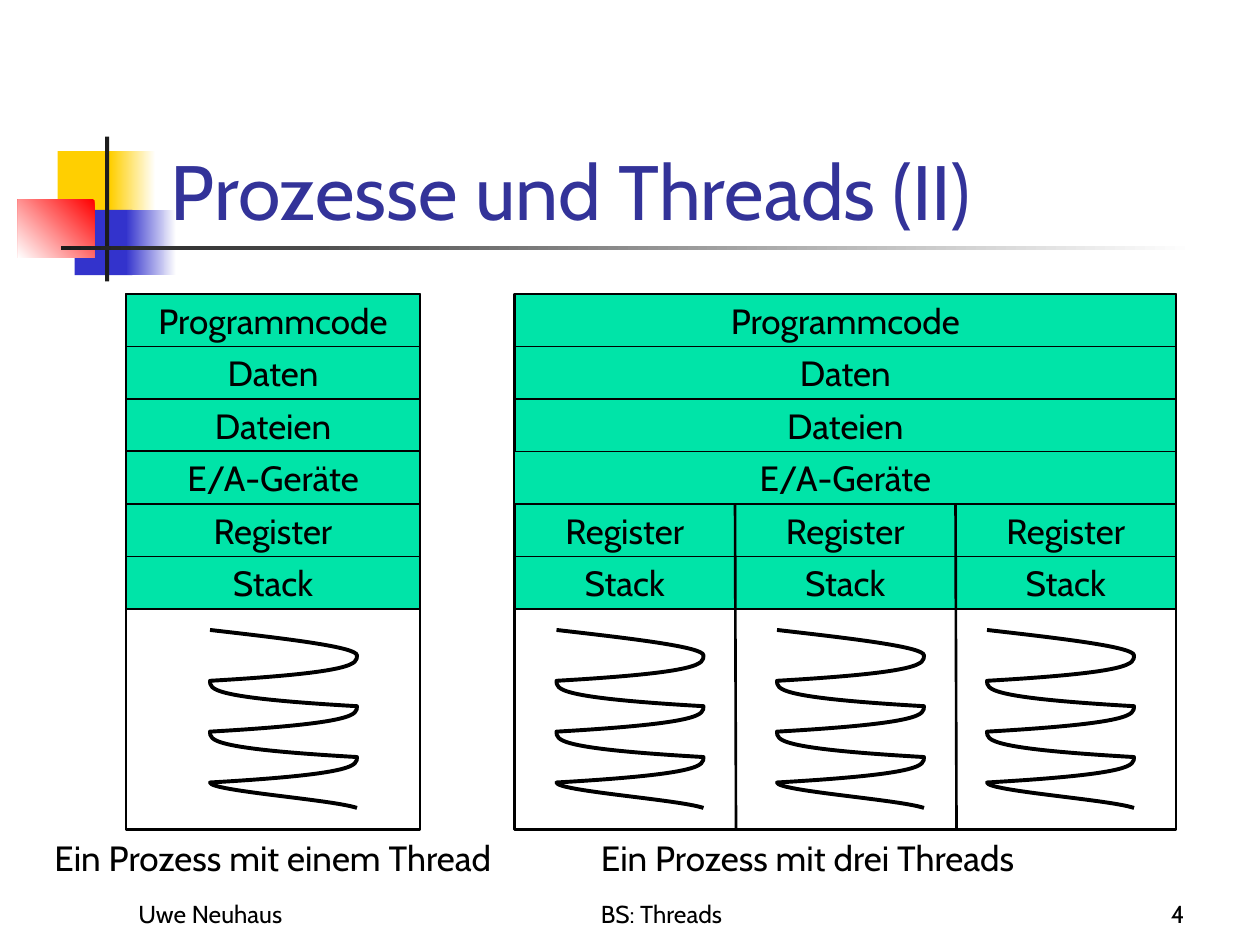
"""Build the slide comparing a process with one thread and one with three threads."""
import pptx
import pptx.dml.color
import pptx.enum.shapes
import pptx.enum.text
import pptx.oxml
import pptx.oxml.ns
import pptx.util

COLORS = {"white": "FFFFFF", "black": "000000", "cell": "00E4A8", "title": "333399",
          "yellow": "FFCF01", "blue": "3333CC", "red": "FF0000", "bar": "1C1C1C"}
FONT = "Cabin"
COLUMNS, ROWS = 120, 90
WIDTH, HEIGHT = pptx.util.Inches(10), pptx.util.Inches(7.5)
ROW_HEIGHT, TOP, FRAME_HEIGHT = 5, 28, 51
THIN, MEDIUM, THICK = 0.75, 1.5, 2.25
XMLNS = 'xmlns:a="http://schemas.openxmlformats.org/drawingml/2006/main"'

ALIGN = pptx.enum.text.PP_ALIGN
ANCHOR = pptx.enum.text.MSO_ANCHOR

ORNAMENTS = [
    ((5.5, 14.4, 5.7, 6.2), ("yellow",), 0),
    ((10.5, 14.4, 4.3, 6.2), ("white", "yellow"), 180),
    ((7.1, 20, 5.5, 6.2), ("blue",), 0),
    ((12, 20, 4.8, 6.2), ("white", "blue"), 180),
    ((1.7, 19, 7.3, 5.55), ("red", "white"), 225),
    ((10, 13, 0.4, 13.8), ("bar",), 0),
    ((5.8, 23.4, 108, 0.4), ("white", "bar"), 180),
]
TEXTS = [
    ("Prozesse und Threads (II)", (15.1, 8.05, 102.2, 15), 44, "title", ALIGN.LEFT, ANCHOR.BOTTOM),
    ("Uwe Neuhaus", (12, 85, 25, 4), 14, "black", ALIGN.LEFT, ANCHOR.BOTTOM),
    ("BS: Threads", (44, 85, 38, 4), 14, "black", ALIGN.CENTER, ANCHOR.BOTTOM),
    ("4", (89, 85, 25, 4), 14, "black", ALIGN.RIGHT, ANCHOR.BOTTOM),
    ("Ein Prozess mit einem Thread", (4, 79, 48.8, 5.3), 20, "black", ALIGN.LEFT, ANCHOR.TOP),
    ("Ein Prozess mit drei Threads", (56.05, 79, 46.8, 5.3), 20, "black", ALIGN.LEFT, ANCHOR.TOP),
]
SHARED = ["Programmcode", "Daten", "Dateien", "E/A-Geräte"]
PER_THREAD = ["Register", "Stack"]
PROCESSES = [
    {"left": 12, "width": 28, "threads": [20], "rule": 43},
    {"left": 49, "width": 63, "threads": [53, 74, 94], "rule": 48},
]
WAVE_TOP, WAVE_WIDTH, WAVE_HEIGHT = 60, 14, 16.95
TURN, RETURN = (1, 1, 0), (0, 0, 1)
WAVE = [(0.5, 1, 1), TURN, RETURN, TURN, RETURN, TURN, (0, 0.83, 1)]


def rgb(name):
    return pptx.dml.color.RGBColor.from_string(COLORS[name])


def x(column):
    return round(column * WIDTH / COLUMNS)


def y(row):
    return round(row * HEIGHT / ROWS)


def place(box):
    left, top, width, height = box
    return x(left), y(top), x(width), y(height)


def apply(target, values):
    for attribute, value in values.items():
        setattr(target, attribute, value)


def stroke(shape, points):
    shape.line.color.rgb = rgb("black")
    shape.line.width = pptx.util.Pt(points)


def write(shape, text, size, color, align, anchor):
    frame = shape.text_frame
    paragraph = frame.paragraphs[0]
    paragraph.text = text
    apply(frame, {"word_wrap": True, "vertical_anchor": anchor})
    apply(paragraph, {"alignment": align, "line_spacing": 1.01})
    apply(paragraph.font, {"name": FONT, "size": pptx.util.Pt(size)})
    paragraph.font.color.rgb = rgb(color)


def add_box(shapes, box, colors=(), angle=0, line=None):
    shape = shapes.add_shape(pptx.enum.shapes.MSO_SHAPE.ROUNDED_RECTANGLE, *place(box))
    shape.adjustments[0] = 0
    shape.shadow.inherit = False
    if len(colors) == 2:
        shape.fill.gradient()
        shape.fill.gradient_angle = angle
        for position, (stop, color) in enumerate(zip(shape.fill.gradient_stops, colors)):
            stop.position = position
            stop.color.rgb = rgb(color)
    elif colors:
        shape.fill.solid()
        shape.fill.fore_color.rgb = rgb(colors[0])
    else:
        shape.fill.background()
    if line:
        stroke(shape, line)
    else:
        shape.line.fill.background()
    return shape


def add_cell(shapes, text, left, row, width):
    cell = add_box(shapes, (left, TOP + row * ROW_HEIGHT, width, ROW_HEIGHT), ("cell",), line=THIN)
    write(cell, text, 20, "black", ALIGN.CENTER, ANCHOR.MIDDLE)


def add_line(shapes, start, end):
    line = shapes.add_connector(pptx.enum.shapes.MSO_CONNECTOR.STRAIGHT,
                                x(start[0]), y(start[1]), x(end[0]), y(end[1]))
    line._element.spPr.append(pptx.oxml.parse_xml(f"<a:effectLst {XMLNS}/>"))
    stroke(line, MEDIUM)


def add_wave(shapes, left):
    bend = WAVE_HEIGHT / len(WAVE)
    ends = [(x(left + across[-1] * WAVE_WIDTH), y(WAVE_TOP + index * bend))
            for index, across in enumerate(WAVE, 1)]
    builder = shapes.build_freeform(x(left), y(WAVE_TOP))
    builder.add_line_segments(ends, close=False)
    wave = builder.convert_to_shape()
    segments = list(wave._element.iter(pptx.oxml.ns.qn("a:lnTo")))
    for index, (segment, across) in enumerate(zip(segments, WAVE)):
        points = "".join(
            f'<a:pt x="{x(share * WAVE_WIDTH)}" y="{y((index + third / 3) * bend)}"/>'
            for third, share in enumerate(across, 1))
        curve = pptx.oxml.parse_xml(f"<a:cubicBezTo {XMLNS}>{points}</a:cubicBezTo>")
        segment.getparent().replace(segment, curve)
    wave.shadow.inherit = False
    wave.fill.background()
    stroke(wave, THICK)


def add_process(shapes, left, width, threads, rule):
    lane = width / len(threads)
    for row, text in enumerate(SHARED[:-1]):
        add_cell(shapes, text, left, row, width)
    for index, wave_left in enumerate(threads):
        for row, text in enumerate(PER_THREAD, len(SHARED)):
            add_cell(shapes, text, left + index * lane, row, lane)
        add_wave(shapes, wave_left)
    for index in range(1, len(threads)):
        border = left + index * lane
        add_line(shapes, (border, 46), (border + 0.1, TOP + FRAME_HEIGHT))
    add_box(shapes, (left, TOP, width, FRAME_HEIGHT), line=MEDIUM)
    add_line(shapes, (left, rule), (left + width, rule))
    add_cell(shapes, SHARED[-1], left, len(SHARED) - 1, width)


def main():
    deck = pptx.Presentation()
    apply(deck, {"slide_width": WIDTH, "slide_height": HEIGHT})
    shapes = deck.slides.add_slide(deck.slide_layouts[6]).shapes
    for box, colors, angle in ORNAMENTS:
        add_box(shapes, box, colors, angle)
    for text, box, *style in TEXTS:
        write(shapes.add_textbox(*place(box)), text, *style)
    for process in PROCESSES:
        add_process(shapes, **process)
    deck.save("out.pptx")


if __name__ == "__main__":
    main()
